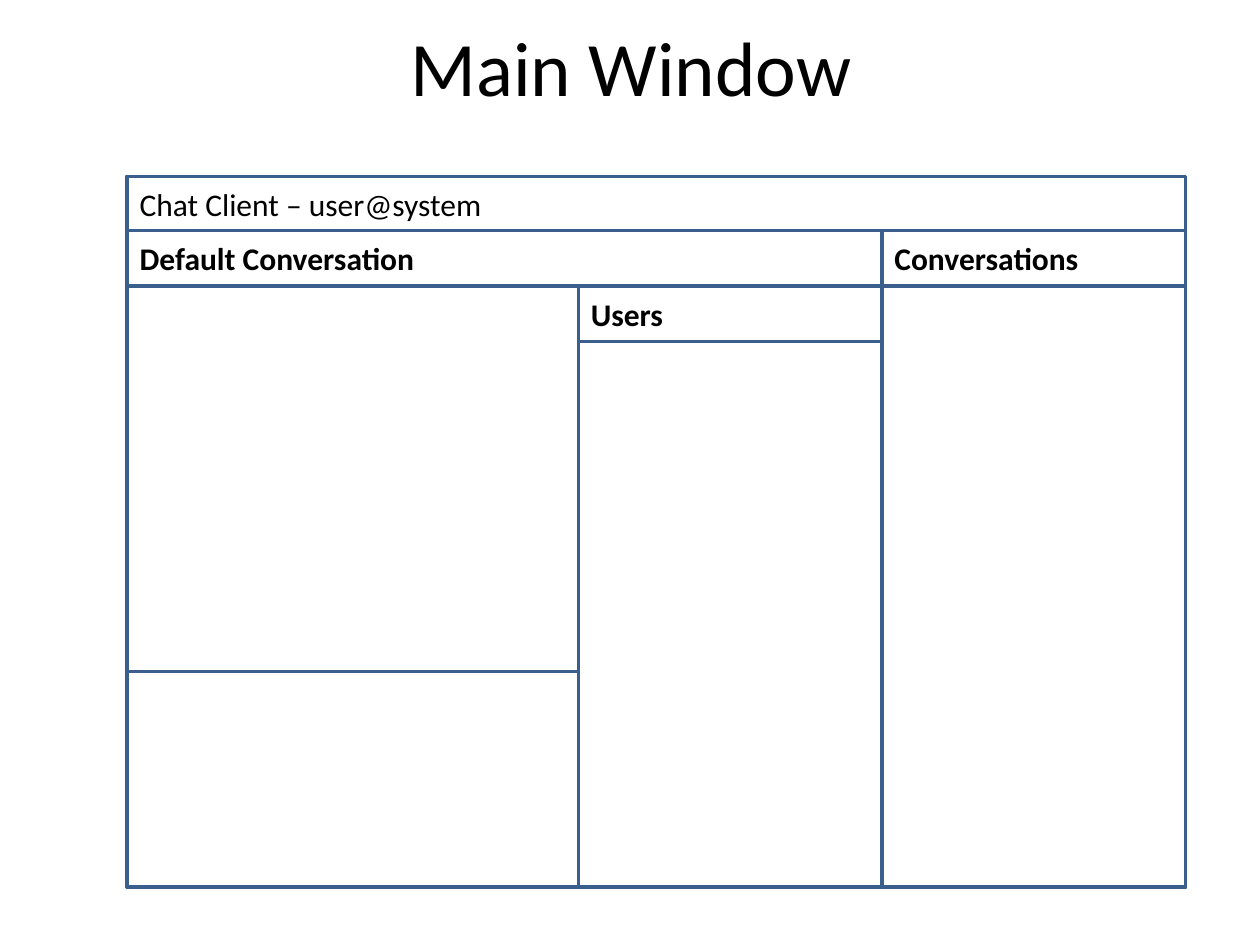
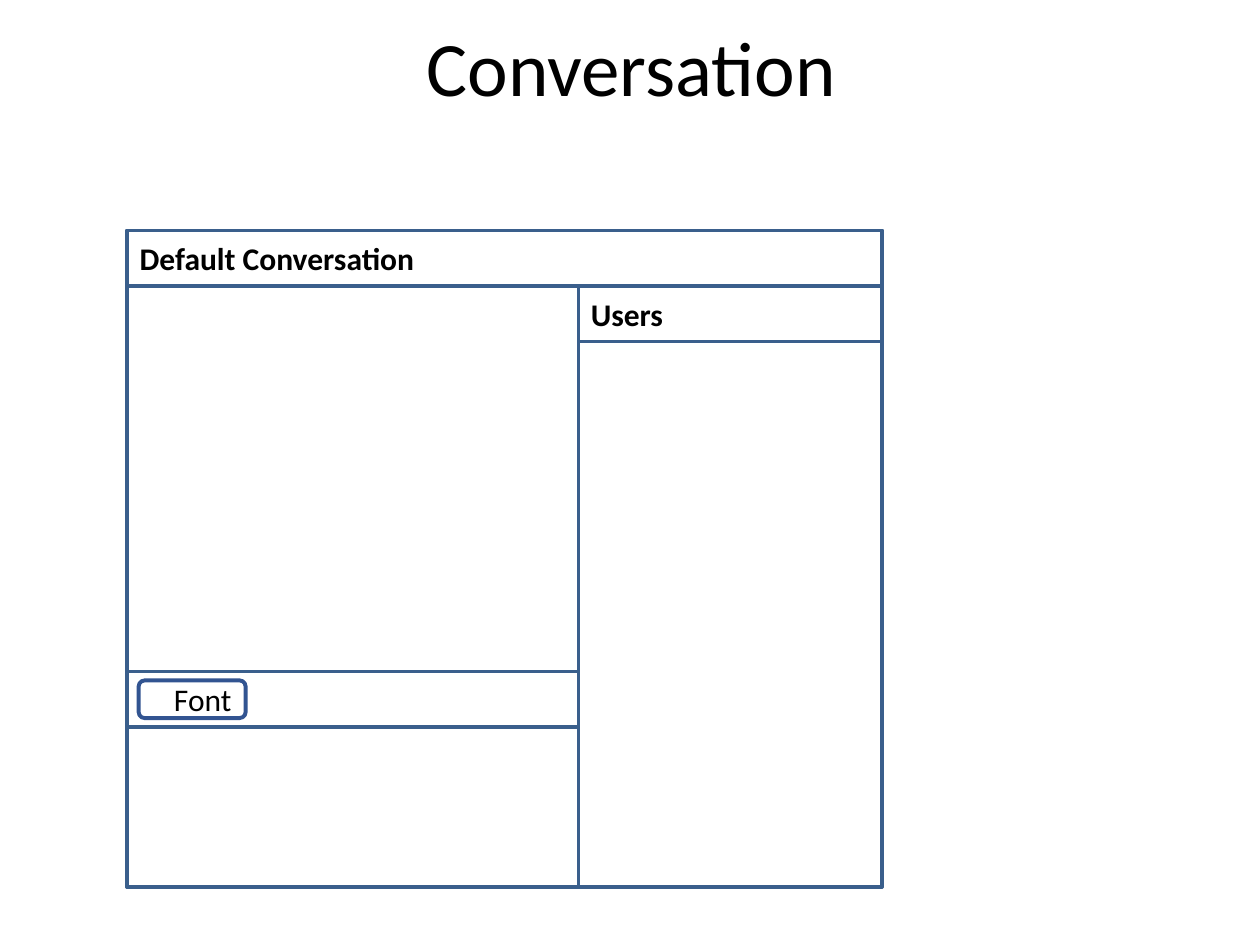
import pptx
import pptx.util
import pptx.dml.color
import pptx.enum.shapes
import pptx.enum.text

Inches, Pt = pptx.util.Inches, pptx.util.Pt
SHAPE = pptx.enum.shapes.MSO_SHAPE
ALIGN = pptx.enum.text.PP_ALIGN
MIDDLE = pptx.enum.text.MSO_ANCHOR.MIDDLE

COLORS = {"paper": "FFFFFF", "ink": "000000", "frame": "3A5F8C", "button": "325491"}
FONT = "Calibri"

LEFT, USERS, CHATS, RIGHT = 1.01, 4.59, 7.0, 9.41
TOP, INPUT, BOTTOM, BAR = 1.4, 5.33, 7.04, 0.44
HEAD = 1.83
BODY = HEAD + BAR
LIST = BODY + BAR

USER_PANES = [
    (USERS, LIST, CHATS, BOTTOM, "", False, False),
    (USERS, BODY, CHATS, LIST, "Users", True, True),
]
HEADING = (LEFT, HEAD, CHATS, BODY, "Default Conversation", True, True)
ENTRY = (LEFT, INPUT, USERS, BOTTOM, "", False, False)

SLIDES = [
    {
        "title": "Main Window",
        "panes": [
            (LEFT, TOP, RIGHT, BOTTOM, "", False, False),
            (LEFT, TOP, RIGHT, TOP + BAR, "Chat Client – user@system", False, True),
            *USER_PANES,
            (CHATS, HEAD, RIGHT, BODY, "Conversations", True, True),
            (CHATS, HEAD, RIGHT, BOTTOM, "", False, False),
            HEADING,
            ENTRY,
        ],
        "buttons": [],
    },
    {
        "title": "Conversation",
        "panes": [
            *USER_PANES,
            HEADING,
            ENTRY,
            (LEFT, HEAD, CHATS, BOTTOM, "", False, False),
            (LEFT, INPUT, USERS, INPUT + BAR, "", False, True),
        ],
        "buttons": [(1.1, 5.4, 1.95, 5.7, "Font")],
    },
]


def color(name):
    return pptx.dml.color.RGBColor.from_string(COLORS[name])


def write(sp, text, size, align, bold=False):
    tf = sp.text_frame
    tf.word_wrap = True
    tf.vertical_anchor = MIDDLE
    p = tf.paragraphs[0]
    p.text = text
    p.alignment = align
    p.font.name = FONT
    p.font.size = Pt(size)
    p.font.bold = bold
    p.font.color.rgb = color("ink")
    return p


def add_title(slide, text):
    sp = slide.shapes.add_textbox(Inches(0.18), Inches(0.17), Inches(9.66), Inches(0.8))
    write(sp, text, 44, ALIGN.CENTER).line_spacing = 0.9


def add_box(slide, kind, left, top, right, bottom, line, width, filled):
    sp = slide.shapes.add_shape(
        kind, Inches(left), Inches(top), Inches(right - left), Inches(bottom - top))
    sp.shadow.inherit = False
    sp.line.color.rgb = color(line)
    sp.line.width = Pt(width)
    if filled:
        sp.fill.solid()
        sp.fill.fore_color.rgb = color("paper")
    else:
        sp.fill.background()
    return sp


prs = pptx.Presentation()
prs.slide_width, prs.slide_height = Inches(10), Inches(7.5)

for content in SLIDES:
    slide = prs.slides.add_slide(prs.slide_layouts[6])
    add_title(slide, content["title"])
    for *edges, label, bold, filled in content["panes"]:
        sp = add_box(slide, SHAPE.RECTANGLE, *edges, "frame", 2, filled)
        if label:
            write(sp, label, 18, ALIGN.LEFT, bold)
    for *edges, label in content["buttons"]:
        sp = add_box(slide, SHAPE.ROUNDED_RECTANGLE, *edges, "button", 2.25, True)
        write(sp, label, 18, ALIGN.RIGHT)

prs.save("out.pptx")
